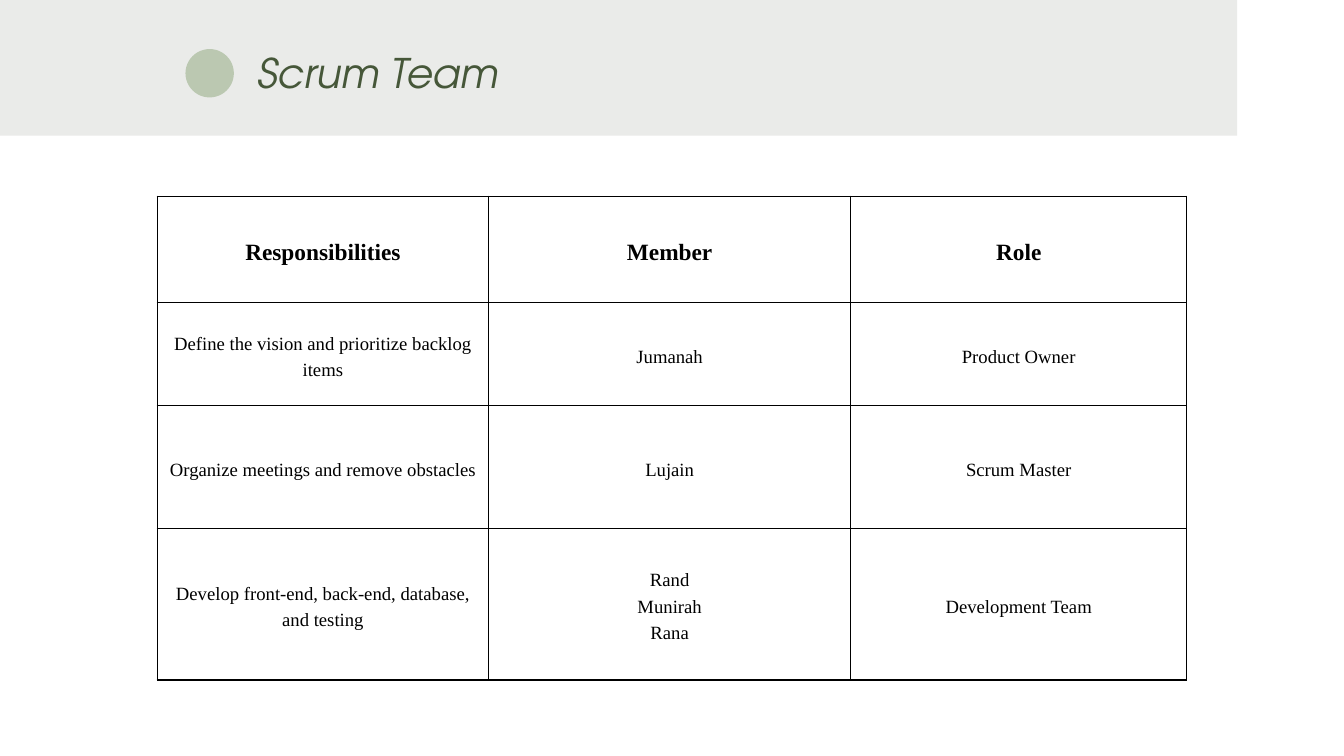
from dataclasses import dataclass

from lxml.etree import SubElement
from pptx import Presentation
from pptx.dml.color import RGBColor
from pptx.enum.shapes import MSO_SHAPE
from pptx.enum.text import MSO_ANCHOR, PP_ALIGN
from pptx.oxml.ns import qn
from pptx.util import Inches, Pt


@dataclass(frozen=True)
class Theme:
    band: str = "EAEBE9"
    dot: str = "BBC8B1"
    title: str = "465739"
    ink: str = "000000"
    title_font: str = "TeX Gyre Adventor"
    body_font: str = "Times New Roman"
    title_size: float = 43.7
    head_size: float = 25
    body_size: float = 20
    leading: float = 1.4
    border: float = 1.44


THEME = Theme()
SLIDE_W, SLIDE_H = 20, 11.25
COLUMNS = [4.93, 5.39, 5]
ROWS = [1.58, 1.54, 1.82, 2.26]
TEAM = [
    ("Responsibilities", "Member", "Role"),
    ("Define the vision and prioritize backlog items", "Jumanah", "Product Owner"),
    ("Organize meetings and remove obstacles", "Lujain", "Scrum Master"),
    ("Develop front-end, back-end, database, and testing",
     "Rand\nMunirah\nRana", "Development Team"),
]


def style_text(tf, font, size, color, leading, align, bold=False, italic=False):
    for p in tf.paragraphs:
        p.alignment = align
        p.line_spacing = Pt(leading)
        for r in p.runs:
            r.font.name = font
            r.font.size = Pt(size)
            r.font.bold = bold
            r.font.italic = italic
            r.font.color.rgb = RGBColor.from_string(color)


def add_filled(s, kind, box, color):
    sp = s.shapes.add_shape(kind, *map(Inches, box))
    sp.shadow.inherit = False
    sp.fill.solid()
    sp.fill.fore_color.rgb = RGBColor.from_string(color)
    sp.line.fill.background()
    return sp


def add_header(s, box, title):
    x, y, w, h = box
    # Band, bleeding past the top left corner
    add_filled(s, MSO_SHAPE.RECTANGLE, box, THEME.band)
    # Dot, centred on the band's lower half
    dot = 0.72
    add_filled(s, MSO_SHAPE.OVAL, (x + 3.45, y + h / 2, dot, dot), THEME.dot)
    # Title
    tf = s.shapes.add_textbox(
        Inches(x + 4.52), Inches(y + 1.15), Inches(6.96), Inches(0.86)).text_frame
    tf.margin_left = tf.margin_right = tf.margin_top = tf.margin_bottom = 0
    tf.word_wrap = True
    tf.text = title
    style_text(tf, THEME.title_font, THEME.title_size, THEME.title,
               THEME.title_size * THEME.leading, PP_ALIGN.LEFT, italic=True)


def add_borders(cell):
    tc_pr = cell._tc.get_or_add_tcPr()
    for i, side in enumerate(("a:lnL", "a:lnR", "a:lnT", "a:lnB")):
        ln = SubElement(tc_pr, qn(side), w=str(Pt(THEME.border)))
        SubElement(SubElement(ln, qn("a:solidFill")), qn("a:srgbClr"), val=THEME.ink)
        tc_pr.insert(i, ln)


def add_team_table(s, box, rows):
    x, y, w, h = box
    table = s.shapes.add_table(
        len(rows), len(COLUMNS), *map(Inches, box)).table
    table.first_row = table.horz_banding = False

    # Grid, scaled to the box
    for column, share in zip(table.columns, COLUMNS):
        column.width = Inches(w * share / sum(COLUMNS))
    for row, share in zip(table.rows, ROWS):
        row.height = Inches(h * share / sum(ROWS))

    # Cells
    for i, texts in enumerate(rows):
        size = THEME.body_size if i else THEME.head_size
        for j, text in enumerate(texts):
            cell = table.cell(i, j)
            cell.fill.background()
            cell.vertical_anchor = MSO_ANCHOR.MIDDLE
            cell.margin_left = cell.margin_right = Inches(0.12)
            cell.margin_top = cell.margin_bottom = Inches(0.12)
            cell.text_frame.text = text
            style_text(cell.text_frame, THEME.body_font, size, THEME.ink,
                       size * THEME.leading, PP_ALIGN.CENTER, bold=i == 0)
            add_borders(cell)


def main():
    prs = Presentation()
    prs.slide_width, prs.slide_height = Inches(SLIDE_W), Inches(SLIDE_H)
    s = prs.slides.add_slide(prs.slide_layouts[6])
    add_header(s, (-0.69, -0.56, 19.1, 2.58), "Scrum Team")
    add_team_table(s, (2.34, 2.92, sum(COLUMNS), sum(ROWS)), TEAM)
    prs.save("out.pptx")


if __name__ == "__main__":
    main()
